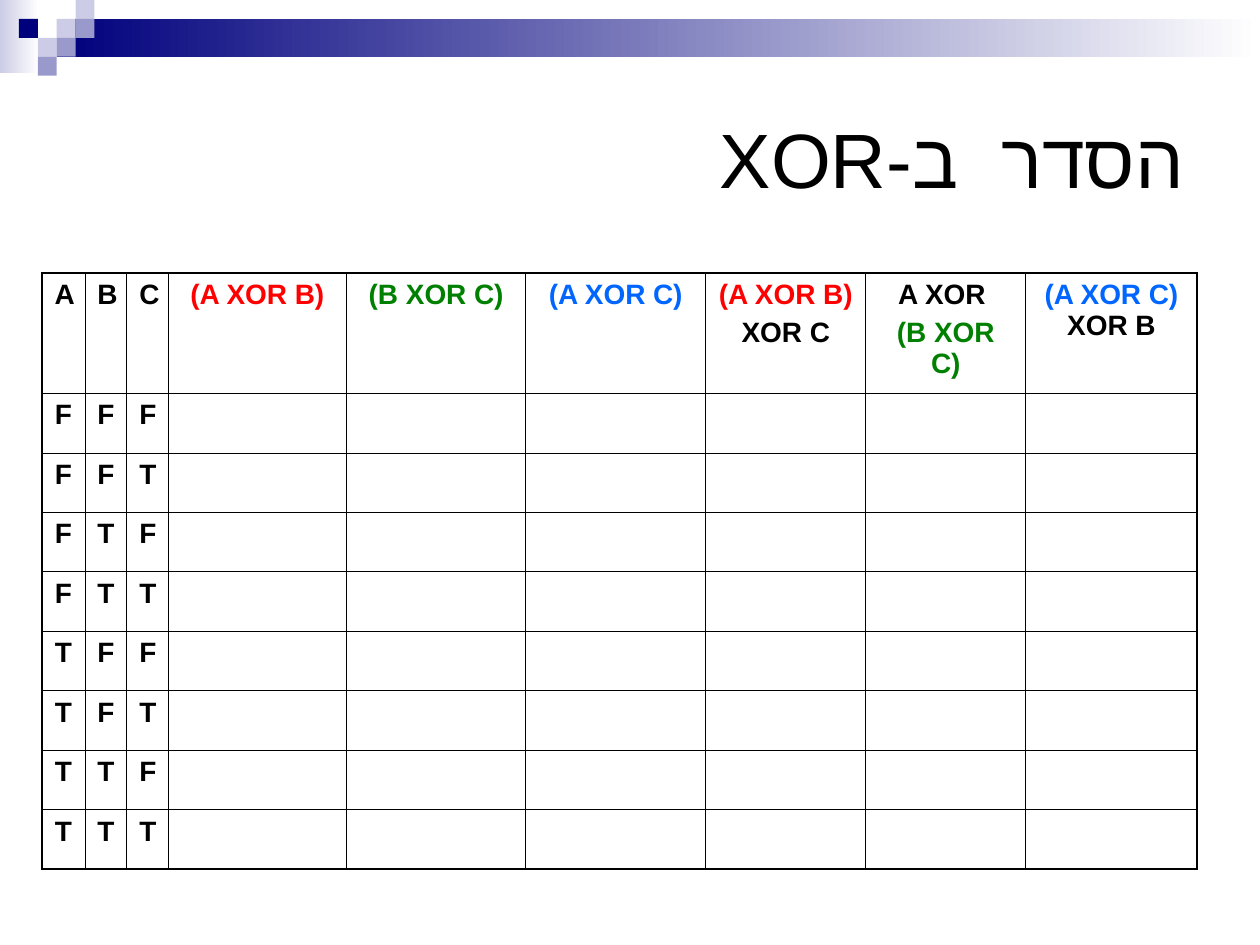
import itertools

import pptx
import pptx.dml.color
import pptx.enum.shapes
import pptx.enum.text
import pptx.oxml
import pptx.oxml.ns
import pptx.util

Pt = pptx.util.Pt
RGBColor = pptx.dml.color.RGBColor
ALIGN = pptx.enum.text.PP_ALIGN

BLACK = RGBColor(0x00, 0x00, 0x00)
WHITE = RGBColor(0xFF, 0xFF, 0xFF)
NAVY = RGBColor(0x00, 0x00, 0x7D)
LAVENDER = RGBColor(0x99, 0x99, 0xCC)
PALE = RGBColor(0xCC, 0xCC, 0xE6)
RED = RGBColor(0xFF, 0x00, 0x00)
GREEN = RGBColor(0x00, 0x80, 0x00)
BLUE = RGBColor(0x00, 0x66, 0xFF)

FONT = "Arial"
TILE = 10.8
# Column, row and colour of each tile in the corner mosaic
TILES = [(3, 1, PALE), (4, 0, PALE), (4, 1, LAVENDER), (2, 2, PALE),
         (1, 1, NAVY), (3, 2, LAVENDER), (2, 3, LAVENDER)]

COLUMN_WIDTHS = [24.5, 24, 23.5, 102.2, 102.2, 103, 91.4, 91.4, 98]
HEADER_HEIGHT, ROW_HEIGHT = 68.8, 34
THIN, THICK = 0.45, 1.08
# Each heading is a list of paragraphs, each a list of (text, colour) spans
HEADINGS = [
    [[("A", BLACK)]],
    [[("B", BLACK)]],
    [[("C", BLACK)]],
    [[("(A XOR B)", RED)]],
    [[("(B XOR C)", GREEN)]],
    [[("(A XOR C)", BLUE)]],
    [[("(A XOR B) ", RED)], [("XOR C", BLACK)]],
    [[("A XOR ", BLACK)], [("(B XOR C)", GREEN)]],
    [[("(A XOR C)", BLUE), (" XOR B", BLACK)]],
]


def write_text(frame, paragraphs, size, align, bold=False, before=0, rtl=False):
    for index, spans in enumerate(paragraphs):
        para = frame.add_paragraph() if index else frame.paragraphs[0]
        para.alignment = align
        para.space_before = Pt(before)
        if rtl:
            para._p.get_or_add_pPr().set("rtl", "1")
        for text, color in spans:
            span = para.add_run()
            span.text = text
            span.font.name = FONT
            span.font.size = Pt(size)
            span.font.bold = bold
            span.font.color.rgb = color
            if rtl:
                complex_font = pptx.oxml.parse_xml(
                    f'<a:cs {pptx.oxml.ns.nsdecls("a")} typeface="{FONT}"/>')
                span.font._element.append(complex_font)


def add_block(page, box, color, fading=False):
    """Add a borderless rectangle, plain or fading to white at its right."""
    block = page.shapes.add_shape(
        pptx.enum.shapes.MSO_SHAPE.RECTANGLE, *map(Pt, box))
    block.shadow.inherit = False
    block.line.fill.background()
    if fading:
        block.fill.gradient()
        block.fill.gradient_angle = 180
        for stop, stop_color in zip(block.fill.gradient_stops, (WHITE, color)):
            stop.color.rgb = stop_color
    else:
        block.fill.solid()
        block.fill.fore_color.rgb = color


def add_banner(page, box):
    left, top, width, height = box
    add_block(page, (left, top, 22.3, height), PALE, fading=True)
    add_block(page, (left + 3 * TILE, top + TILE, width - 3 * TILE, 2 * TILE),
              NAVY, fading=True)
    for column, row, color in TILES:
        add_block(page, (left + column * TILE, top + row * TILE, TILE, TILE),
                  color)


def add_title(page, box):
    frame = page.shapes.add_textbox(*map(Pt, box)).text_frame
    frame.word_wrap = True
    frame.vertical_anchor = pptx.enum.text.MSO_ANCHOR.MIDDLE
    write_text(frame, [[("הסדר  ב-XOR", BLACK)]], size=44, align=ALIGN.RIGHT,
               rtl=True)


def set_borders(cell, widths):
    """Draw black cell borders; widths maps each side (L, R, T, B) to points."""
    properties = cell._tc.get_or_add_tcPr()
    for index, (side, width) in enumerate(widths.items()):
        properties.insert(index, pptx.oxml.parse_xml(
            f'<a:ln{side} {pptx.oxml.ns.nsdecls("a")} w="{Pt(width)}">'
            f'<a:solidFill><a:srgbClr val="{BLACK}"/></a:solidFill>'
            f'</a:ln{side}>'))


def add_truth_table(page, box):
    values = [[[[(letter, BLACK)]] for letter in letters]
              for letters in itertools.product("FT", repeat=3)]
    rows = [HEADINGS] + values
    last_row, last_column = len(rows) - 1, len(HEADINGS) - 1
    table = page.shapes.add_table(
        len(rows), len(HEADINGS), *map(Pt, box)).table
    table.first_row = table.horz_banding = False
    for column, width in zip(table.columns, COLUMN_WIDTHS):
        column.width = Pt(width)
    for index, row in enumerate(table.rows):
        row.height = Pt(ROW_HEIGHT if index else HEADER_HEIGHT)
        for position, cell in enumerate(row.cells):
            cell.fill.background()
            set_borders(cell, {
                "L": THIN if position else THICK,
                "R": THICK if position == last_column else THIN,
                "T": THIN if index else THICK,
                "B": THICK if index == last_row else THIN,
            })
            if position < len(rows[index]):
                write_text(cell.text_frame, rows[index][position], size=16,
                           align=ALIGN.CENTER, bold=True, before=4)


def main():
    deck = pptx.Presentation()
    deck.slide_width, deck.slide_height = Pt(720), Pt(540)
    page = deck.slides.add_slide(deck.slide_layouts[6])
    add_banner(page, (0, 0, 720, 42))
    add_title(page, (36, 36, 648, 108))
    add_truth_table(page, (24, 156, sum(COLUMN_WIDTHS),
                           HEADER_HEIGHT + 8 * ROW_HEIGHT))
    deck.save("out.pptx")


if __name__ == "__main__":
    main()
